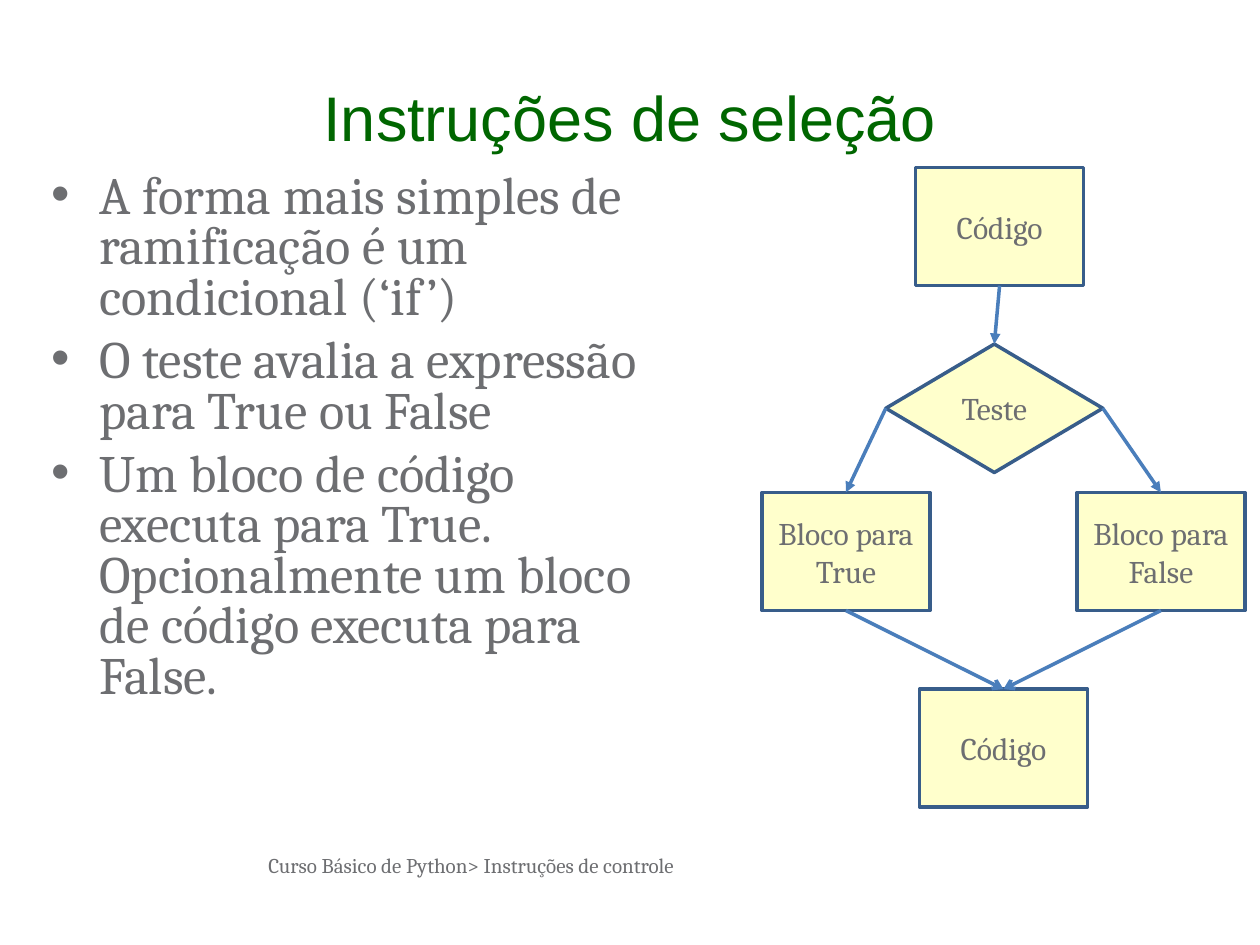
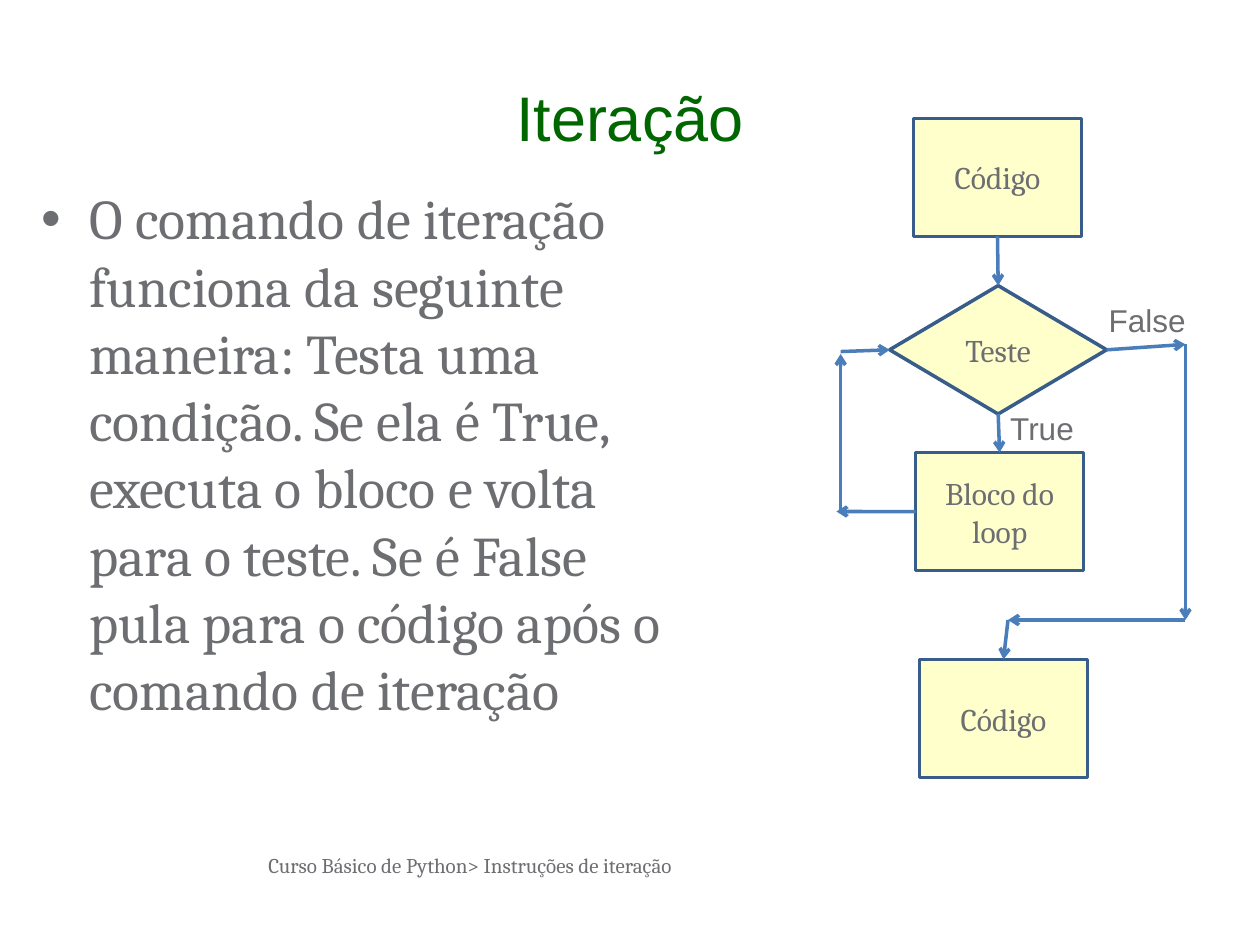
from pptx import Presentation
from pptx.dml.color import RGBColor
from pptx.enum import shapes, text
from pptx.oxml import xmlchemy
from pptx.oxml.ns import qn
from pptx.util import Pt
from lxml import etree

COLORS = {
    "background": "FFFFFF",
    "title": "006600",
    "text": "6D6E71",
    "node": "FFFFCC",
    "outline": "385D8A",
    "arrow": "4A7EBB",
}
SERIF, SANS = "Cambria", "Arial"
COURSE = "Curso Básico de Python> "
TITLE_BOX = (36, 21.6, 648, 90)
FOOTER_BOX = (146.2, 483.8, 438.5, 28.8)
BODY_SIZE = (374.4, 360)
HANGING = 27.2
LINE_WIDTH = 2
NODE_KINDS = {
    "block": (shapes.MSO_SHAPE.RECTANGLE, 96, 67.5),
    "test": (shapes.MSO_SHAPE.FLOWCHART_DECISION, 124, 73.4),
}
SIDES = {"top": 0, "left": 1, "bottom": 2, "right": 3}

SLIDES = [
    {
        "title": "Instruções de seleção",
        "footer": "Instruções de controle",
        "bullets": [
            "A forma mais simples de ramificação é um condicional (‘if’)",
            "O teste avalia a expressão para True ou False",
            "Um bloco de código executa para True. Opcionalmente um bloco "
            "de código executa para False.",
        ],
        "body": {"at": (22.4, 95.8), "size": 30, "line": 0.8, "before": 7.5},
        "nodes": {
            "start": ("Código", "block", 523.2, 95.8),
            "end": ("Código", "block", 525.4, 393.8),
            "test": ("Teste", "test", 506.2, 196.6),
            "true": ("Bloco para True", "block", 435.4, 281.4),
            "false": ("Bloco para False", "block", 615.4, 281.4),
        },
        "arrows": [
            (("start", "bottom"), ("test", "top"), "triangle"),
            (("test", "left"), ("true", "top"), "triangle"),
            (("test", "right"), ("false", "top"), "triangle"),
            (("true", "bottom"), ("end", "top"), "arrow"),
            (("false", "bottom"), ("end", "top"), "arrow"),
        ],
        "labels": [],
    },
    {
        "title": "Iteração",
        "footer": "Instruções de iteração",
        "bullets": [
            "O comando de iteração funciona da seguinte maneira: Testa uma "
            "condição. Se ela é True, executa o bloco e volta para o teste. "
            "Se é False pula para o código após o comando de iteração",
        ],
        "body": {"at": (16.6, 101.5), "size": 32, "line": 1, "before": 8},
        "nodes": {
            "start": ("Código", "block", 522, 67.6),
            "end": ("Código", "block", 525.4, 376.8),
            "test": ("Teste", "test", 508.4, 163.2),
            "loop": ("Bloco do loop", "block", 523.2, 258.6),
        },
        "arrows": [
            (("start", "bottom"), ("test", "top"), "arrow"),
            (("loop", "left"), (478, 292.3), "arrow"),
            (("test", "right"), (677.4, 196.8), "arrow"),
            ((576, 354.3), ("end", "top"), "arrow"),
            ((677.4, 354.3), (576, 354.3), "arrow"),
            ((480.4, 292.3), (480.4, 202.3), "arrow"),
            ((480.4, 200.9), ("test", "left"), "arrow"),
            ((677.4, 196.8), (677.4, 354.3), "arrow"),
            (("test", "bottom"), ("loop", "top"), "arrow"),
        ],
        "labels": [
            ("True", (570.2, 230.4, 65.5, 28.8)),
            ("False", (626.4, 168.5, 62, 28.8)),
        ],
    },
]


def rgb(name):
    return RGBColor.from_string(COLORS[name])


def place(shape, box):
    shape.left, shape.top, shape.width, shape.height = map(Pt, box)


def write(frame, *lines, size=18, font=SERIF, color="text",
          align=text.PP_ALIGN.LEFT, anchor=text.MSO_ANCHOR.TOP,
          line=1, before=0, bullet=False):
    frame.word_wrap = True
    frame.auto_size = text.MSO_AUTO_SIZE.NONE
    frame.vertical_anchor = anchor
    for index, words in enumerate(lines):
        paragraph = frame.add_paragraph() if index else frame.paragraphs[0]
        paragraph.alignment = align
        paragraph.line_spacing = line
        paragraph.space_before = Pt(before if index else 0)
        if bullet:
            properties = paragraph._p.get_or_add_pPr()
            properties.set("marL", str(Pt(HANGING)))
            properties.set("indent", str(-Pt(HANGING)))
            etree.SubElement(properties, qn("a:buChar")).set("char", "•")
        run = paragraph.add_run()
        run.text = words
        run.font.size = Pt(size)
        run.font.name = font
        run.font.color.rgb = rgb(color)


def add_text(slide, words, box, **style):
    label = slide.shapes.add_textbox(*map(Pt, box))
    write(label.text_frame, words, **style)


def add_node(slide, words, kind, left, top):
    preset, width, height = NODE_KINDS[kind]
    node = slide.shapes.add_shape(preset, *map(Pt, (left, top, width, height)))
    node.shadow.inherit = False
    node.fill.solid()
    node.fill.fore_color.rgb = rgb("node")
    node.line.color.rgb = rgb("outline")
    node.line.width = Pt(LINE_WIDTH)
    write(node.text_frame, words, align=text.PP_ALIGN.CENTER,
          anchor=text.MSO_ANCHOR.MIDDLE)
    return node


def add_arrow(slide, nodes, start, end, head):
    points = [(0, 0) if point[0] in nodes else tuple(map(Pt, point))
              for point in (start, end)]
    arrow = slide.shapes.add_connector(
        shapes.MSO_CONNECTOR.STRAIGHT, *points[0], *points[1])
    for point, connect in ((start, arrow.begin_connect), (end, arrow.end_connect)):
        if point[0] in nodes:
            connect(nodes[point[0]], SIDES[point[1]])
    arrow.line.color.rgb = rgb("arrow")
    arrow.line.width = Pt(LINE_WIDTH)
    etree.SubElement(arrow.line._get_or_add_ln(), qn("a:tailEnd")).set("type", head)
    etree.SubElement(arrow._element.spPr, qn("a:effectLst"))


def build_slide(deck, content):
    slide = deck.slides.add_slide(deck.slide_layouts[1])
    slide.background.fill.solid()
    slide.background.fill.fore_color.rgb = rgb("background")
    title, body = slide.placeholders
    place(title, TITLE_BOX)
    write(title.text_frame, content["title"], size=36, font=SANS, color="title",
          align=text.PP_ALIGN.CENTER, anchor=text.MSO_ANCHOR.MIDDLE)
    style = dict(content["body"])
    place(body, style.pop("at") + BODY_SIZE)
    write(body.text_frame, *content["bullets"], bullet=True, **style)
    add_text(slide, COURSE + content["footer"], FOOTER_BOX, size=12)
    nodes = {key: add_node(slide, *node) for key, node in content["nodes"].items()}
    for arrow in content["arrows"]:
        add_arrow(slide, nodes, *arrow)
    for words, box in content["labels"]:
        add_text(slide, words, box, font=SANS)


def main():
    deck = Presentation()
    deck.slide_width, deck.slide_height = Pt(720), Pt(540)
    for content in SLIDES:
        build_slide(deck, content)
    deck.save("out.pptx")


if __name__ == "__main__":
    main()
